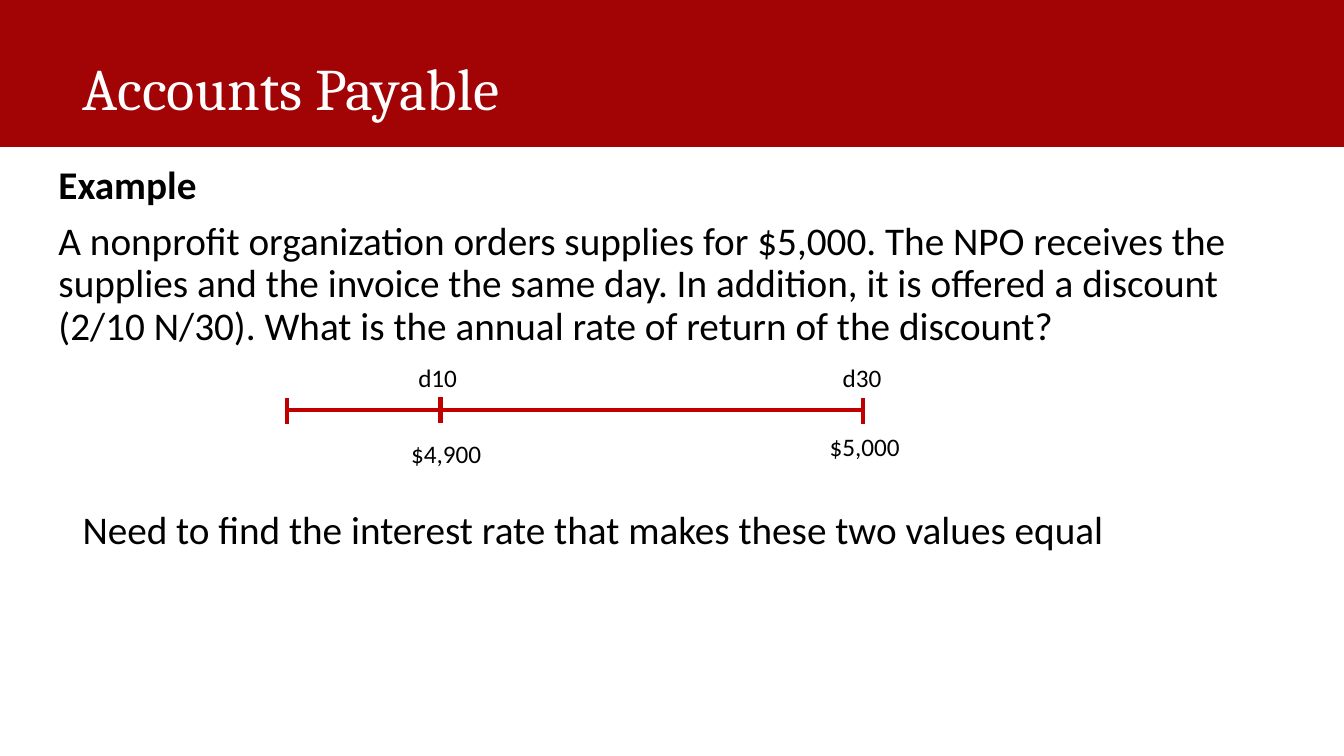
from dataclasses import dataclass

from lxml import etree
from pptx import Presentation
from pptx.dml.color import RGBColor
from pptx.enum.shapes import MSO_CONNECTOR, MSO_SHAPE
from pptx.enum.text import MSO_ANCHOR, MSO_AUTO_SIZE, PP_ALIGN
from pptx.oxml.ns import qn
from pptx.util import Inches, Pt

LEFT = PP_ALIGN.LEFT
TOP, MIDDLE = MSO_ANCHOR.TOP, MSO_ANCHOR.MIDDLE
NO_FIT, GROW = MSO_AUTO_SIZE.NONE, MSO_AUTO_SIZE.SHAPE_TO_FIT_TEXT
RECT, STRAIGHT = MSO_SHAPE.RECTANGLE, MSO_CONNECTOR.STRAIGHT

TITLE = "Accounts Payable"
BODY = [
    "Example",
    "A nonprofit organization orders supplies for $5,000. The NPO receives the "
    "supplies and the invoice the same day. In addition, it is offered a discount "
    "(2/10 N/30). What is the annual rate of return of the discount?",
]
# text, left, top, width
TIMELINE_LABELS = [
    ("d10", 4.05, 3.55, 0.62),
    ("d30", 8.26, 3.55, 0.62),
    ("$5,000", 8.13, 4.23, 1.19),
    ("$4,900", 3.98, 4.3, 0.94),
]
CONCLUSION = "Need to find the interest rate that makes these two values equal"

SLIDE_W, SLIDE_H, BAND_H = 13.33, 7.5, 1.45
AXIS_Y, AXIS_START, AXIS_END = 4.07, 2.84, 8.57
TICKS = [(2.85, 3.95), (4.37, 3.94), (8.56, 3.95)]
TICK_H = 0.26


@dataclass(frozen=True)
class Theme:
    band: RGBColor = RGBColor(0xA2, 0x03, 0x05)
    timeline: RGBColor = RGBColor(0xC0, 0x00, 0x00)
    text: RGBColor = RGBColor(0x00, 0x00, 0x00)
    title: RGBColor = RGBColor(0xFF, 0xFF, 0xFF)
    title_font: str = "Cambria"
    body_font: str = "Calibri"
    title_size: int = 42
    body_size: int = 28
    label_size: int = 18
    line_width: int = 3


THEME = Theme()


def place(shape, left, top, width, height):
    shape.left, shape.top = Inches(left), Inches(top)
    shape.width, shape.height = Inches(width), Inches(height)


def style(p, size, font=THEME.body_font, color=THEME.text, bold=False):
    p.alignment = LEFT
    for r in p.runs:
        r.font.size, r.font.name, r.font.bold = Pt(size), font, bold
        r.font.color.rgb = color


def add_band(s):
    band = s.shapes.add_shape(RECT, 0, 0, Inches(SLIDE_W), Inches(BAND_H))
    band.shadow.inherit = False
    band.fill.solid()
    band.fill.fore_color.rgb = band.line.color.rgb = THEME.band
    band.line.width = Pt(1)
    s.shapes.title.element.addprevious(band.element)


def fill_title(s):
    title = s.shapes.title
    place(title, 0.72, 0.18, 11.5, 1.45)
    tf = title.text_frame
    tf.text = TITLE
    tf.auto_size, tf.vertical_anchor = NO_FIT, MIDDLE
    p = tf.paragraphs[0]
    p.line_spacing = 0.9
    style(p, THEME.title_size, THEME.title_font, THEME.title)


def fill_body(s):
    body = s.placeholders[1]
    place(body, 0.48, 1.59, 11.98, 2.3)
    tf = body.text_frame
    tf.text = "\n".join(BODY)
    tf.auto_size, tf.vertical_anchor = NO_FIT, TOP
    for i, p in enumerate(tf.paragraphs):
        style(p, THEME.body_size, bold=i == 0)
        p.line_spacing, p.space_before = 0.9, Pt(10)
        pPr = p._p.get_or_add_pPr()
        pPr.set("marL", "0")
        pPr.set("indent", "0")
        etree.SubElement(pPr, qn("a:buNone"))


def add_line(s, x1, y1, x2, y2):
    line = s.shapes.add_connector(
        STRAIGHT, Inches(x1), Inches(y1), Inches(x2), Inches(y2))
    line.line.color.rgb = THEME.timeline
    line.line.width = Pt(THEME.line_width)
    etree.SubElement(line.element.spPr, qn("a:effectLst"))


def add_text(s, text, left, top, width, height, size):
    sp = s.shapes.add_textbox(
        Inches(left), Inches(top), Inches(width), Inches(height))
    tf = sp.text_frame
    tf.text = text
    tf.word_wrap, tf.auto_size = True, GROW
    style(tf.paragraphs[0], size)


def main():
    prs = Presentation()
    prs.slide_width, prs.slide_height = Inches(SLIDE_W), Inches(SLIDE_H)
    s = prs.slides.add_slide(prs.slide_layouts[1])
    add_band(s)
    fill_title(s)
    fill_body(s)
    add_line(s, AXIS_START, AXIS_Y, AXIS_END, AXIS_Y)
    for x, top in TICKS:
        add_line(s, x, top, x, top + TICK_H)
    for text, left, top, width in TIMELINE_LABELS:
        add_text(s, text, left, top, width, 0.4, THEME.label_size)
    add_text(s, CONCLUSION, 0.72, 4.96, 10.85, 0.57, THEME.body_size)
    prs.save("out.pptx")


if __name__ == "__main__":
    main()
